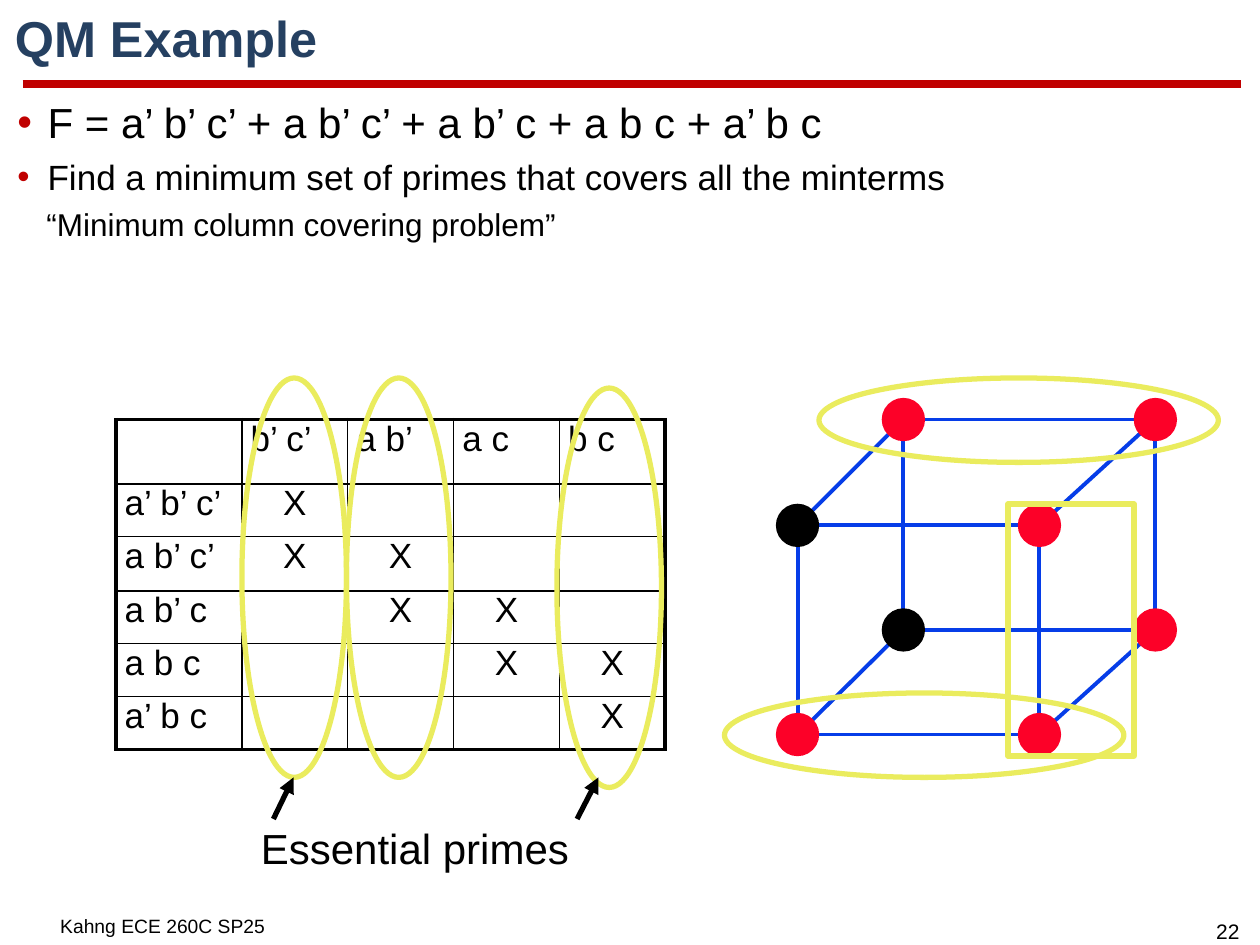
from lxml import etree
from pptx import Presentation
from pptx.dml.color import RGBColor
from pptx.enum.shapes import MSO_CONNECTOR, MSO_SHAPE
from pptx.enum.text import MSO_ANCHOR, PP_ALIGN
from pptx.oxml.ns import qn
from pptx.util import Inches, Pt

LINE, OVAL, RECT = MSO_CONNECTOR.STRAIGHT, MSO_SHAPE.OVAL, MSO_SHAPE.RECTANGLE
CENTER, MIDDLE, TOP = PP_ALIGN.CENTER, MSO_ANCHOR.MIDDLE, MSO_ANCHOR.TOP
FONT = "Arial"
HEX = {"black": "000000", "red": "FC0128", "rule": "C00000",
       "title": "254061", "edge": "063DE8", "loop": "EAEC5E"}

# text, size, space before, left margin, indent, level, bullet
POINTS = [
    ("F = a’ b’ c’ + a b’ c’ + a b’ c + a b c + a’ b c", 24, 0, 0.26, -0.24, 0, True),
    ("Find a minimum set of primes that covers all the minterms", 20, 8.4, 0.26, -0.24, 0, True),
    ("“Minimum column covering problem”", 18, 7.2, 0.51, -0.26, 1, False),
]

GRID = [
    ["", "b’ c’", "a b’", "a c", "b c"],
    ["a’ b’ c’", "X", "", "", ""],
    ["a b’ c’", "X", "X", "", ""],
    ["a b’ c", "", "X", "X", ""],
    ["a b c", "", "", "X", "X"],
    ["a’ b c", "", "", "", "X"],
]
COLS = [1, 0.84, 0.84, 0.84, 0.84]
ROWS = [0.51, 0.42, 0.43, 0.42, 0.42, 0.42]

# Cube faces: left, top, right, bottom
FRONT = (6.33, 4.17, 8.25, 5.83)
BACK = (7.17, 3.33, 9.17, 5)
CORNERS = [(0, 1), (0, 3), (2, 3), (2, 1)]
# Nodes outside the function, as (face, corner)
OFF = [(FRONT, (0, 1)), (BACK, (0, 3))]
NODE = 0.33

LOOPS = [(5.75, 5.5, 3.17, 0.67), (6.5, 3, 3.17, 0.67), (1.92, 3, 0.83, 3.17),
         (2.75, 3, 0.83, 3.17), (4.42, 3.08, 0.83, 3.17)]
BLOB_START = (7.92, 4.92)
BLOB = [
    ((7.93, 4.61), (7.85, 4.19), (7.92, 4)),
    ((7.99, 3.81), (8.22, 3.71), (8.33, 3.75)),
    ((8.44, 3.79), (8.53, 3.89), (8.58, 4.25)),
    ((8.64, 4.61), (8.71, 5.58), (8.67, 5.92)),
    ((8.62, 6.25), (8.44, 6.21), (8.33, 6.25)),
    ((8.22, 6.29), (8.08, 6.24), (8, 6.17)),
    ((7.92, 6.1), (7.85, 6.06), (7.83, 5.83)),
    ((7.82, 5.61), (7.9, 5.22), BLOB_START),
]
STEPS = 12
ARROWS = [(2.17, 6.5, 2.33, 6.17), (4.58, 6.5, 4.75, 6.17)]

deck = Presentation()
deck.slide_width, deck.slide_height = Inches(10), Inches(7.5)
slide = deck.slides.add_slide(deck.slide_layouts[6])
shapes = slide.shapes


def rgb(name):
    return RGBColor.from_string(HEX[name])


def style(para, size, color="black", bold=False):
    font = para.font
    font.name, font.size, font.bold = FONT, Pt(size), bold
    font.color.rgb = rgb(color)


def frame(box, inset=(0.1, 0.05), anchor=TOP):
    """Add a text box and return its text frame."""
    text = shapes.add_textbox(*map(Inches, box)).text_frame
    text.word_wrap = True
    text.vertical_anchor = anchor
    text.margin_left = text.margin_right = Inches(inset[0])
    text.margin_top = text.margin_bottom = Inches(inset[1])
    return text


def label(box, words, size, color="black", bold=False, align=None, **kw):
    para = frame(box, **kw).paragraphs[0]
    para.text, para.alignment = words, align
    style(para, size, color, bold)
    return para


def bullet(para, left, indent, shown):
    props = para._p.get_or_add_pPr()
    props.set("marL", str(Inches(left)))
    props.set("indent", str(Inches(indent)))
    if shown:
        tint = etree.SubElement(props, qn("a:buClr"))
        etree.SubElement(tint, qn("a:srgbClr"), val=HEX["rule"])
        etree.SubElement(props, qn("a:buFont"), typeface=FONT)
        etree.SubElement(props, qn("a:buChar"), char="•")
    else:
        etree.SubElement(props, qn("a:buNone"))


def link(ends, color, width, arrow=False):
    line = shapes.add_connector(LINE, *map(Inches, ends))
    line.line.color.rgb, line.line.width = rgb(color), Pt(width)
    if arrow:
        etree.SubElement(line.line._get_or_add_ln(), qn("a:tailEnd"), type="triangle")
    etree.SubElement(line._element.spPr, qn("a:effectLst"))


def paint(shape, color, width, fill=None):
    shape.shadow.inherit = False
    shape.line.color.rgb, shape.line.width = rgb(color), Pt(width)
    if fill:
        shape.fill.solid()
        shape.fill.fore_color.rgb = rgb(fill)
    else:
        shape.fill.background()


def add(kind, box, color, width, fill=None):
    paint(shapes.add_shape(kind, *map(Inches, box)), color, width, fill)


def border(cell, row, col):
    """Draw thick lines on the table's rim and thin ones inside."""
    rim = {"L": col == 0, "R": col == len(COLS) - 1,
           "T": row == 0, "B": row == len(ROWS) - 1}
    props = cell._tc.get_or_add_tcPr()
    for side, thick in rim.items():
        line = etree.SubElement(props, qn("a:ln" + side), w=str(Pt(2.25 if thick else 1)))
        solid = etree.SubElement(line, qn("a:solidFill"))
        etree.SubElement(solid, qn("a:srgbClr"), val=HEX["black"])


def curve(start, parts):
    """Yield points along a chain of cubic curves."""
    for one, two, end in parts:
        for step in range(1, STEPS + 1):
            t = step / STEPS
            u = 1 - t
            yield tuple(u**3 * a + 3 * u * u * t * b + 3 * u * t * t * c + t**3 * d
                        for a, b, c, d in zip(start, one, two, end))
        start = end


# Heading and points
link((0.18, 0.67, 9.85, 0.67), "rule", 4.5)
label((9.5, 7.24, 0.49, 0.3), "22", 12, align=CENTER)
body = frame((0.02, 0.78, 9.83, 6.22))
for i, (words, size, gap, left, indent, level, shown) in enumerate(POINTS):
    para = body.add_paragraph() if i else body.paragraphs[0]
    para.text, para.level = words, level
    para.line_spacing, para.space_before = 0.85, Pt(gap)
    bullet(para, left, indent, shown)
    style(para, size)
title = label((0.02, 0.08, 9.93, 0.49), "QM Example", 28.8, "title", True, anchor=MIDDLE)
title.line_spacing = 0.9

# Covering table
place = map(Inches, (0.92, 3.33, sum(COLS), sum(ROWS)))
table = shapes.add_table(len(ROWS), len(COLS), *place).table
table.first_row = table.horz_banding = False
for col, width in zip(table.columns, COLS):
    col.width = Inches(width)
for r, words in enumerate(GRID):
    table.rows[r].height = Inches(ROWS[r])
    for c, word in enumerate(words):
        cell = table.cell(r, c)
        cell.margin_left = cell.margin_right = Inches(0.07)
        cell.margin_top = cell.margin_bottom = Inches(0.03)
        border(cell, r, c)
        cell.fill.background()
        para = cell.text_frame.paragraphs[0]
        para.text, para.line_spacing = word, 0.9
        if word == "X":
            para.alignment = CENTER
        style(para, 20)

# Cube
for x, y, right, low in (FRONT, BACK):
    add(RECT, (x, y, right - x, low - y), "edge", 2.25)
for h, v in CORNERS:
    link((FRONT[h], FRONT[v], BACK[h], BACK[v]), "edge", 2.25)
for face in (FRONT, BACK):
    for h, v in CORNERS:
        color = "black" if (face, (h, v)) in OFF else "red"
        add(OVAL, (face[h] - NODE / 2, face[v] - NODE / 2, NODE, NODE), color, 1, color)

# Loops around the primes
for box in LOOPS:
    add(OVAL, box, "loop", 3)
pen = shapes.build_freeform(*BLOB_START, scale=Inches(1))
pen.add_line_segments(list(curve(BLOB_START, BLOB)), close=True)
paint(pen.convert_to_shape(), "loop", 3)

label((2, 6.5, 3.25, 0.45), "Essential primes", 24, inset=(0.07, 0.03))
for ends in ARROWS:
    link(ends, "black", 3, arrow=True)
label((0.38, 7.21, 1.87, 0.27), "Kahng ECE 260C SP25", 11)

deck.save("out.pptx")
